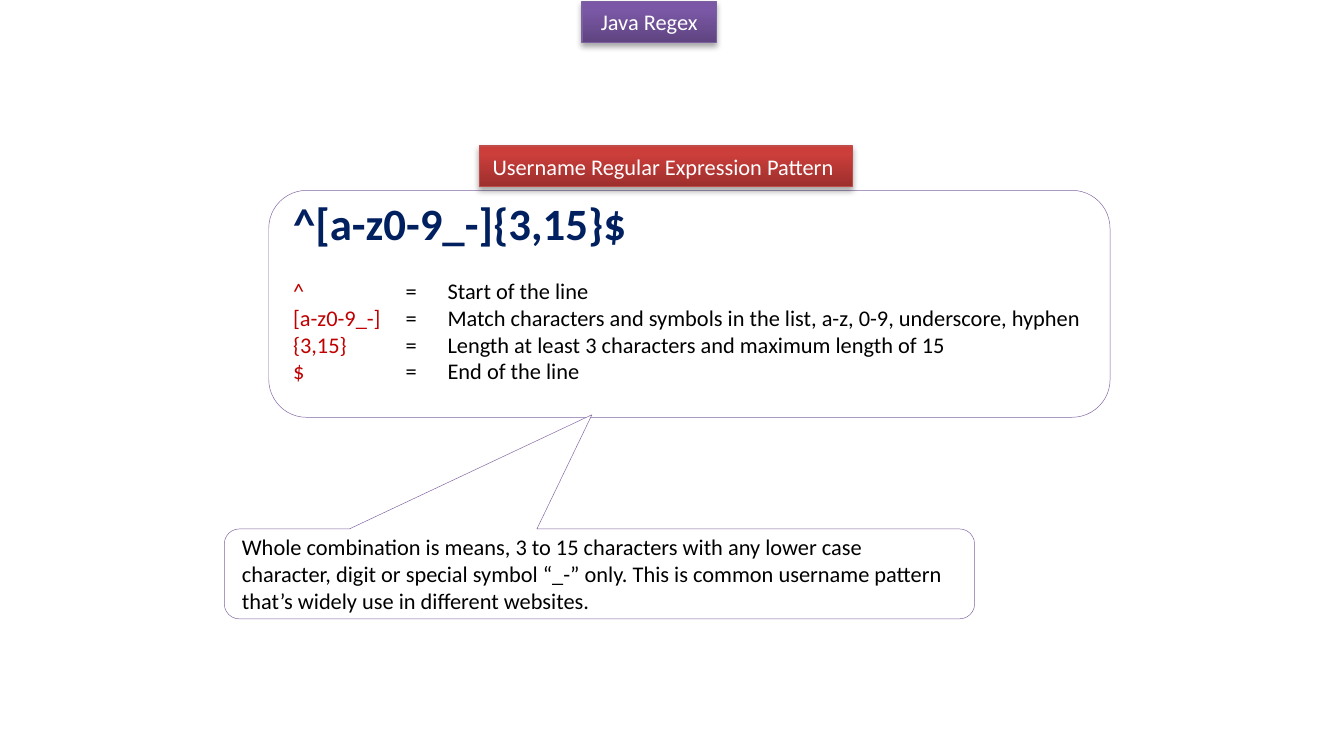
from lxml.etree import SubElement
from pptx import Presentation
from pptx.dml.color import RGBColor
from pptx.enum.shapes import MSO_SHAPE
from pptx.enum.text import MSO_ANCHOR, MSO_AUTO_SIZE, PP_ALIGN
from pptx.oxml import parse_xml
from pptx.oxml.ns import nsdecls, qn
from pptx.util import Cm, Pt


def color(hex_string):
    return RGBColor.from_string(hex_string)


def add_text(paragraph, text, size=12, fill="000000", bold=False, align=PP_ALIGN.LEFT):
    paragraph.alignment = align
    run = paragraph.add_run()
    run.text = text
    run.font.name = "Calibri"
    run.font.size = Pt(size)
    run.font.bold = bold
    run.font.color.rgb = color(fill)


presentation = Presentation()
presentation.slide_width, presentation.slide_height = Cm(25.4), Cm(13.97)
slide = presentation.slides.add_slide(presentation.slide_layouts[5])
shapes = slide.shapes

# Title, pattern panel, panel label and explanation callout
title = shapes.title
title.left, title.top, title.width, title.height = Cm(11), Cm(0.03), Cm(2.54), Cm(0.77)
panel = shapes.add_shape(MSO_SHAPE.ROUNDED_RECTANGLE, Cm(5.08), Cm(3.6), Cm(15.9), Cm(4.29))
label = shapes.add_shape(MSO_SHAPE.RECTANGLE, Cm(9.06), Cm(2.76), Cm(7.05), Cm(0.77))
callout = shapes.add_shape(
    MSO_SHAPE.ROUNDED_RECTANGULAR_CALLOUT, Cm(4.24), Cm(10), Cm(14.18), Cm(1.7))
callout.adjustments[0] = -0.01
callout.adjustments[1] = -1.77

# White outlined boxes
for shape in (panel, callout):
    shape.shadow.inherit = False
    shape.fill.solid()
    shape.fill.fore_color.rgb = color("FFFFFF")
    shape.line.color.rgb = color("8064A2")
    shape.line.width = Pt(0.25)
    shape.text_frame.word_wrap = True
    shape.text_frame.vertical_anchor = MSO_ANCHOR.MIDDLE

# Gradient boxes with a soft shadow
for shape, dark, light, outline, text, align in (
    (title, "5F4480", "7B58A6", "7D60A0", "Java Regex", PP_ALIGN.CENTER),
    (label, "9C2F2D", "CB3E3A", "BF4C48", "Username Regular Expression Pattern", PP_ALIGN.LEFT),
):
    shape.fill.gradient()
    shape.fill.gradient_angle = 90
    for stop, position, shade in zip(shape.fill.gradient_stops, (0, 0.8), (dark, light)):
        stop.position = position
        stop.color.rgb = color(shade)
    shape.line.color.rgb = color(outline)
    shape.line.width = Pt(0.75)
    shape.shadow.inherit = False
    shape.element.spPr.find(qn("a:effectLst")).append(parse_xml(
        f'<a:outerShdw {nsdecls("a")} blurRad="40000" dist="23000" dir="5400000" rotWithShape="0">'
        '<a:srgbClr val="000000"><a:alpha val="35000"/></a:srgbClr></a:outerShdw>'))
    frame = shape.text_frame
    frame.auto_size = MSO_AUTO_SIZE.NONE
    frame.word_wrap = shape is title
    frame.vertical_anchor = MSO_ANCHOR.MIDDLE
    add_text(frame.paragraphs[0], text, fill="FFFFFF", align=align)

# Pattern and the meaning of each part
frame = panel.text_frame
frame.margin_bottom = Cm(0.64)
add_text(frame.paragraphs[0], "^[a-z0-9_-]{3,15}$", size=24, fill="002060", bold=True)
frame.paragraphs[0].space_after = Pt(14.6)
for part, meaning in (
    ("^", "Start of the line"),
    ("[a-z0-9_-]", "Match characters and symbols in the list, a-z, 0-9, underscore, hyphen"),
    ("{3,15}", "Length at least 3 characters and maximum length of 15"),
    ("$", "End of the line"),
):
    paragraph = frame.add_paragraph()
    tabs = SubElement(paragraph._p.get_or_add_pPr(), qn("a:tabLst"))
    for position in (Cm(2.13), Cm(2.92)):
        SubElement(tabs, qn("a:tab"), pos=str(position), algn="l")
    add_text(paragraph, part, fill="C00000")
    add_text(paragraph, f"\t=\t{meaning}")

# Explanation
add_text(
    callout.text_frame.paragraphs[0],
    "Whole combination is means, 3 to 15 characters with any lower case character, "
    "digit or special symbol “_-” only. This is common username pattern that’s "
    "widely use in different websites.")

presentation.save("out.pptx")
